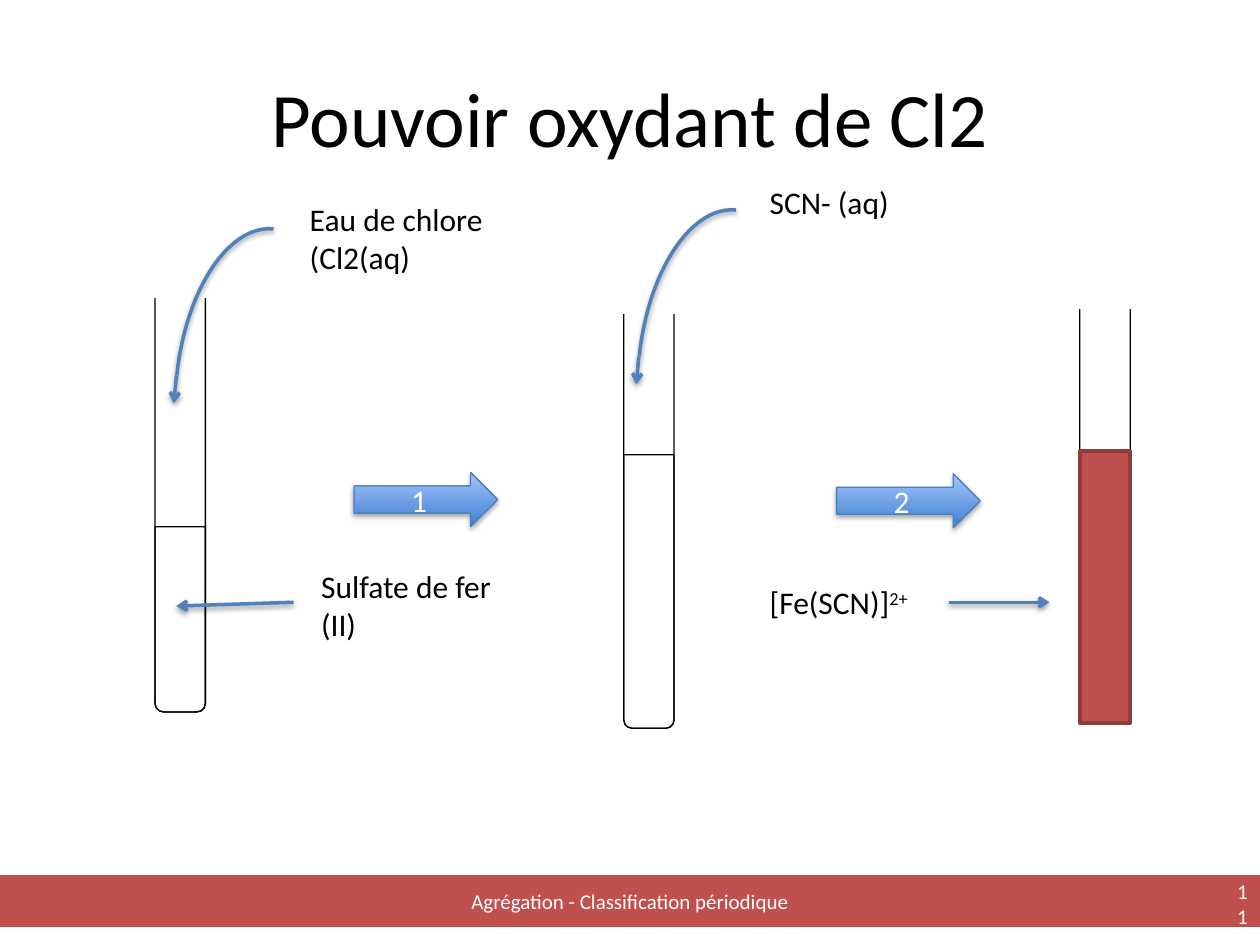
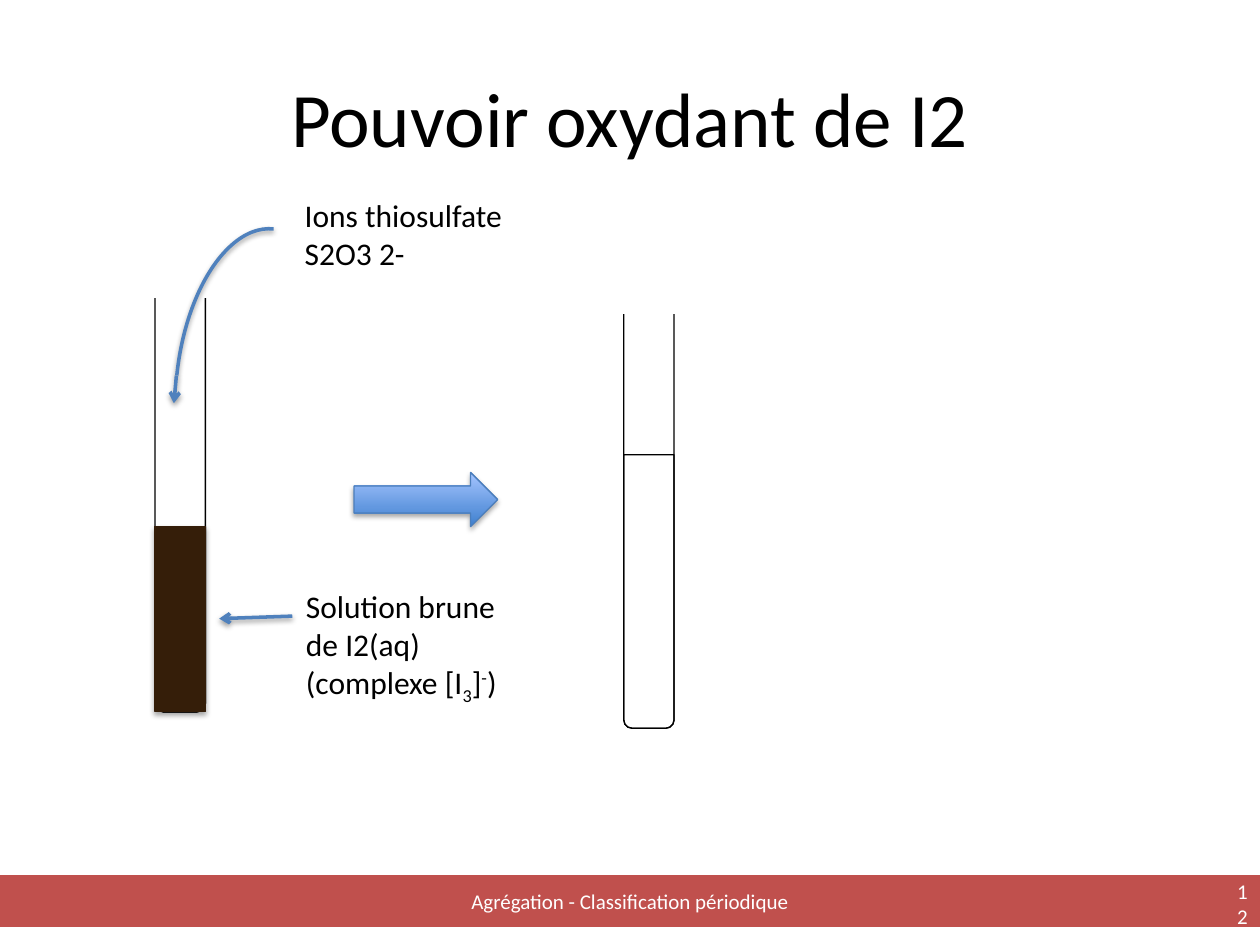
from dataclasses import dataclass

import lxml.etree
import pptx
import pptx.dml.color
import pptx.enum.dml
import pptx.enum.shapes
import pptx.enum.text
import pptx.oxml
import pptx.oxml.ns
import pptx.util

Inches = pptx.util.Inches
Pt = pptx.util.Pt
SHAPE = pptx.enum.shapes.MSO_SHAPE
ALIGN = pptx.enum.text.PP_ALIGN
ANCHOR = pptx.enum.text.MSO_ANCHOR
AUTO_SIZE = pptx.enum.text.MSO_AUTO_SIZE


@dataclass(frozen=True)
class Theme:
    font: str = "Calibri"
    title_size: int = 44
    label_size: int = 18
    footer_size: int = 12
    thin: float = 0.75
    thick: float = 2
    black: str = "000000"
    white: str = "FFFFFF"
    red: str = "C0504D"
    dark_red: str = "8E3B39"
    brown: str = "351E09"
    blue: str = "4F81BD"
    arrow_edge: str = "4B7EBC"
    arrow_dark: str = "3F80CE"
    arrow_light: str = "A4C4FF"


THEME = Theme()
FOOTER = "Agrégation - Classification périodique"
FIRST_NUMBER = 11
TUBE_WIDTH, TUBE_HEIGHT = 0.4, 3.44
SUPERSCRIPT, SUBSCRIPT = 30, -25


def rgb(value):
    return pptx.dml.color.RGBColor.from_string(value)


def write_text(frame, text, size=THEME.label_size, color=THEME.black,
               align=ALIGN.LEFT, anchor=ANCHOR.TOP):
    """Write a string, or a list of (string, baseline percent) runs."""
    frame.word_wrap = True
    frame.vertical_anchor = anchor
    paragraph = frame.paragraphs[0]
    paragraph.alignment = align
    for content, baseline in [(text, 0)] if isinstance(text, str) else text:
        run = paragraph.add_run()
        run.text = content
        run.font.name = THEME.font
        run.font.size = Pt(size)
        run.font.color.rgb = rgb(color)
        if baseline:
            run.font._element.set("baseline", str(baseline * 1000))


def set_shadow(shape, opacity=None):
    """Set a soft shadow below the shape, or none without an opacity."""
    effects = lxml.etree.SubElement(shape._element.spPr, pptx.oxml.ns.qn("a:effectLst"))
    if opacity:
        effects.append(pptx.oxml.parse_xml(
            f'<a:outerShdw {pptx.oxml.ns.nsdecls("a")} blurRad="{Pt(3.1)}" '
            f'dist="{Pt(1.7)}" dir="5400000" rotWithShape="0">'
            f'<a:srgbClr val="{THEME.black}"><a:alpha val="{opacity * 1000}"/>'
            '</a:srgbClr></a:outerShdw>'))


class SlideBuilder:
    def __init__(self, presentation, theme):
        self.presentation = presentation
        self.theme = theme
        self.slide = None

    def start(self, title):
        theme = self.theme
        slides = self.presentation.slides
        self.slide = slides.add_slide(self.presentation.slide_layouts[5])
        heading = self.slide.shapes.title
        heading.left, heading.top = Inches(0.5), Inches(0.3)
        heading.width, heading.height = Inches(9), Inches(1.25)
        write_text(heading.text_frame, title, size=theme.title_size,
                   align=ALIGN.CENTER, anchor=ANCHOR.MIDDLE)
        band = self.shape(SHAPE.RECTANGLE, 0, 6.95, 10, 0.4, fill=theme.red, line=theme.red)
        footer = dict(size=theme.footer_size, color=theme.white, anchor=ANCHOR.MIDDLE)
        write_text(band.text_frame, FOOTER, align=ALIGN.CENTER, **footer)
        number = self.slide.shapes.add_textbox(
            Inches(9.72), Inches(6.97), Inches(0.28), Inches(0.4))
        write_text(number.text_frame, str(FIRST_NUMBER + len(slides) - 1),
                   align=ALIGN.RIGHT, **footer)

    def shape(self, kind, left, top, width, height, fill=None, line=THEME.black,
              weight=THEME.thin, rotation=0, shadow=None, group=None):
        shapes = (group or self.slide).shapes
        shape = shapes.add_shape(kind, Inches(left), Inches(top), Inches(width), Inches(height))
        shape.rotation = rotation
        if fill:
            shape.fill.solid()
            shape.fill.fore_color.rgb = rgb(fill)
        else:
            shape.fill.background()
        shape.line.color.rgb = rgb(line)
        shape.line.width = Pt(weight)
        set_shadow(shape, shadow)
        return shape

    def pointer(self, start, end, group=None):
        connector = (group or self.slide).shapes.add_connector(
            pptx.enum.shapes.MSO_CONNECTOR.STRAIGHT, *map(Inches, start + end))
        connector.line.color.rgb = rgb(self.theme.blue)
        connector.line.width = Pt(self.theme.thick)
        lxml.etree.SubElement(connector.line._get_or_add_ln(),
                              pptx.oxml.ns.qn("a:tailEnd"), type="arrow")
        set_shadow(connector, 38)

    def label(self, text, left, top, height):
        box = self.slide.shapes.add_textbox(
            Inches(left), Inches(top), Inches(1.81), Inches(height))
        write_text(box.text_frame, text)
        box.text_frame.auto_size = AUTO_SIZE.SHAPE_TO_FIT_TEXT

    def tube(self, left, top, level):
        """Draw an open test tube with its liquid surface at level."""
        group = self.slide.shapes.add_group_shape()
        bottom = top + TUBE_HEIGHT
        for edge in (top, level):
            self.shape(SHAPE.ROUND_2_SAME_RECTANGLE, left, edge, TUBE_WIDTH, bottom - edge,
                       rotation=180, group=group)
        self.shape(SHAPE.RECTANGLE, left - 0.2, top - 0.1, 2 * TUBE_WIDTH, 0.25,
                   fill=self.theme.white, line=self.theme.white, group=group)

    def liquid(self, left, top, height, fill, **style):
        self.shape(SHAPE.RECTANGLE, left, top, TUBE_WIDTH, height, fill=fill, **style)

    def pouring_arrow(self, left, top):
        group = self.slide.shapes.add_group_shape()
        self.shape(SHAPE.ARC, left, top, 2.47, 1.29, line=self.theme.blue,
                   weight=self.theme.thick, rotation=275.9, shadow=38, group=group)
        self.pointer((left + 0.59, top + 0.58), (left + 0.57, top + 0.8), group=group)

    def step_arrow(self, left, top, text=None):
        theme = self.theme
        arrow = self.shape(SHAPE.RIGHT_ARROW, left, top, 1.14, 0.43,
                           line=theme.arrow_edge, shadow=35)
        arrow.fill.gradient()
        arrow.fill.gradient_angle = 90
        for stop, color in zip(arrow.fill.gradient_stops, (theme.arrow_dark, theme.arrow_light)):
            stop.color.rgb = rgb(color)
        if text:
            write_text(arrow.text_frame, text, color=theme.white,
                       align=ALIGN.CENTER, anchor=ANCHOR.MIDDLE)

    def first_reaction(self):
        """Draw the two tubes, pouring arrow and step shared by the slides."""
        self.tube(1.23, 2.21, 4.18)
        self.pouring_arrow(0.81, 2.4)
        self.tube(4.95, 2.34, 3.61)


def build_chlorine(builder):
    theme = builder.theme
    builder.start("Pouvoir oxydant de Cl2")
    builder.first_reaction()
    builder.label("Eau de chlore (Cl2(aq)", 2.36, 1.54, 0.71)
    builder.pointer((2.33, 4.78), (1.4, 4.81))
    builder.label("Sulfate de fer (II)", 2.45, 4.45, 0.71)
    builder.step_arrow(2.81, 3.75, "1")
    builder.step_arrow(6.64, 3.76, "2")
    builder.tube(8.57, 2.3, 3.58)
    builder.pouring_arrow(4.48, 2.25)
    builder.label("SCN- (aq)", 6.01, 1.4, 0.4)
    builder.liquid(8.57, 3.58, 2.16, theme.red, line=theme.dark_red, weight=theme.thick)
    builder.pointer((7.53, 4.78), (8.33, 4.78))
    builder.label([("[Fe(SCN)]", 0), ("2+", SUPERSCRIPT)], 6.01, 4.58, 0.4)


def build_iodine(builder):
    theme = builder.theme
    builder.start("Pouvoir oxydant de I2")
    builder.first_reaction()
    builder.label([("Solution brune de I2(aq) (complexe [I", 0), ("3", SUBSCRIPT),
                   ("]", 0), ("-", SUPERSCRIPT), (")", 0)], 2.33, 4.61, 1.01)
    builder.step_arrow(2.81, 3.75)
    builder.label("Ions thiosulfate S2O3 2-", 2.32, 1.51, 0.71)
    builder.pointer((2.32, 4.89), (1.74, 4.91))
    builder.liquid(1.23, 4.18, 1.47, theme.brown, line=theme.brown, shadow=35)


def main():
    presentation = pptx.Presentation()
    presentation.slide_width, presentation.slide_height = Inches(10), Inches(7.5)
    builder = SlideBuilder(presentation, THEME)
    build_chlorine(builder)
    build_iodine(builder)
    presentation.save("out.pptx")


if __name__ == "__main__":
    main()
